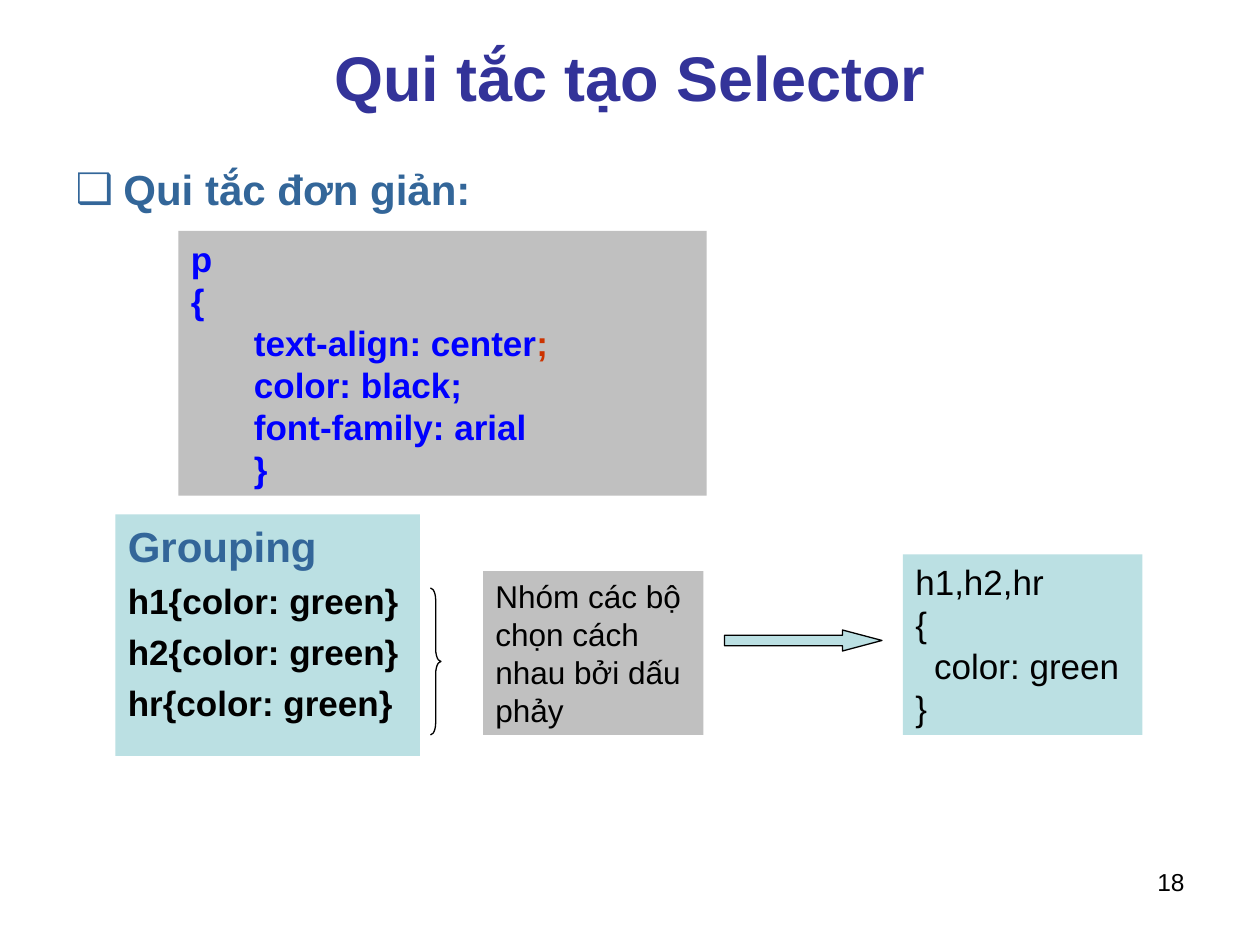
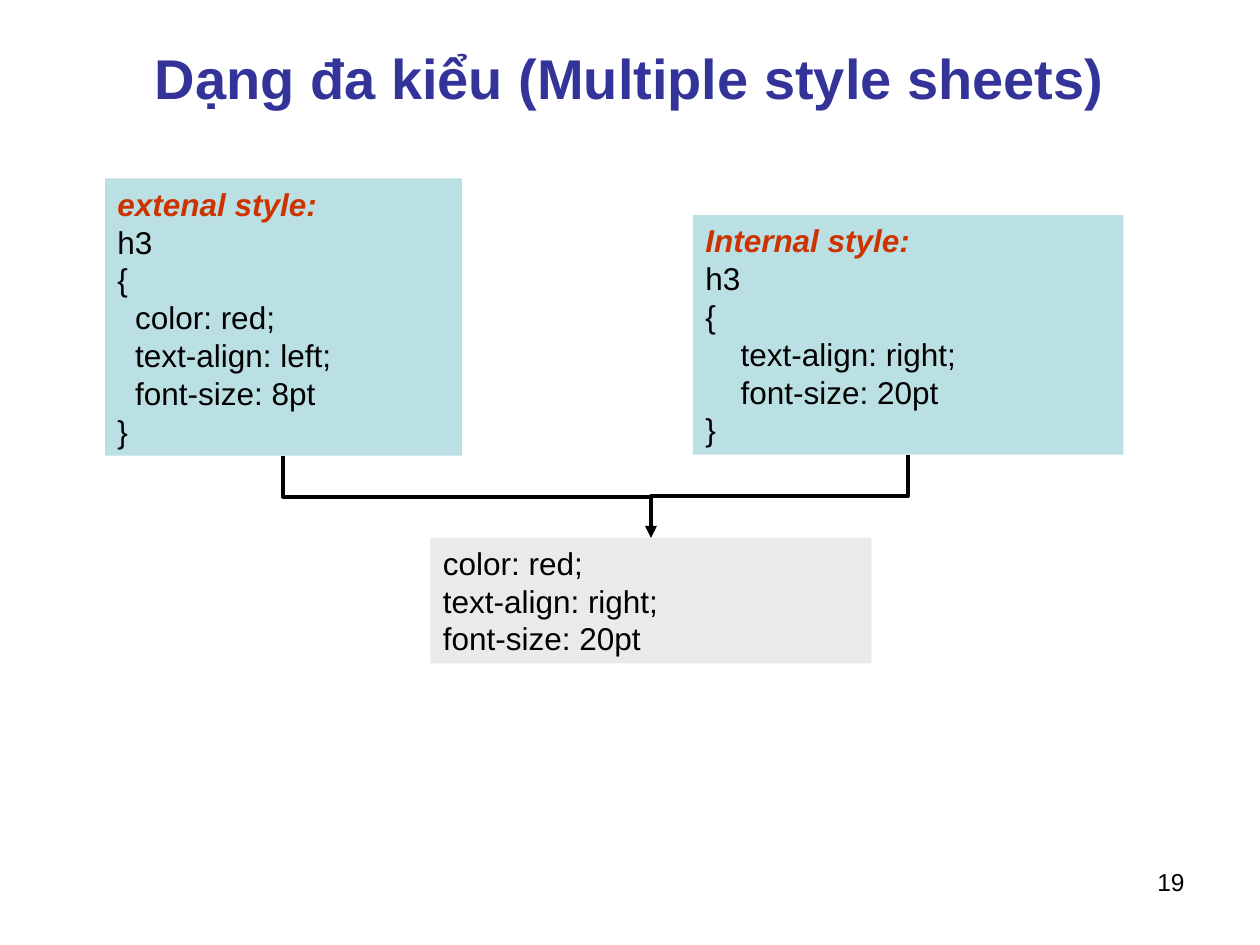
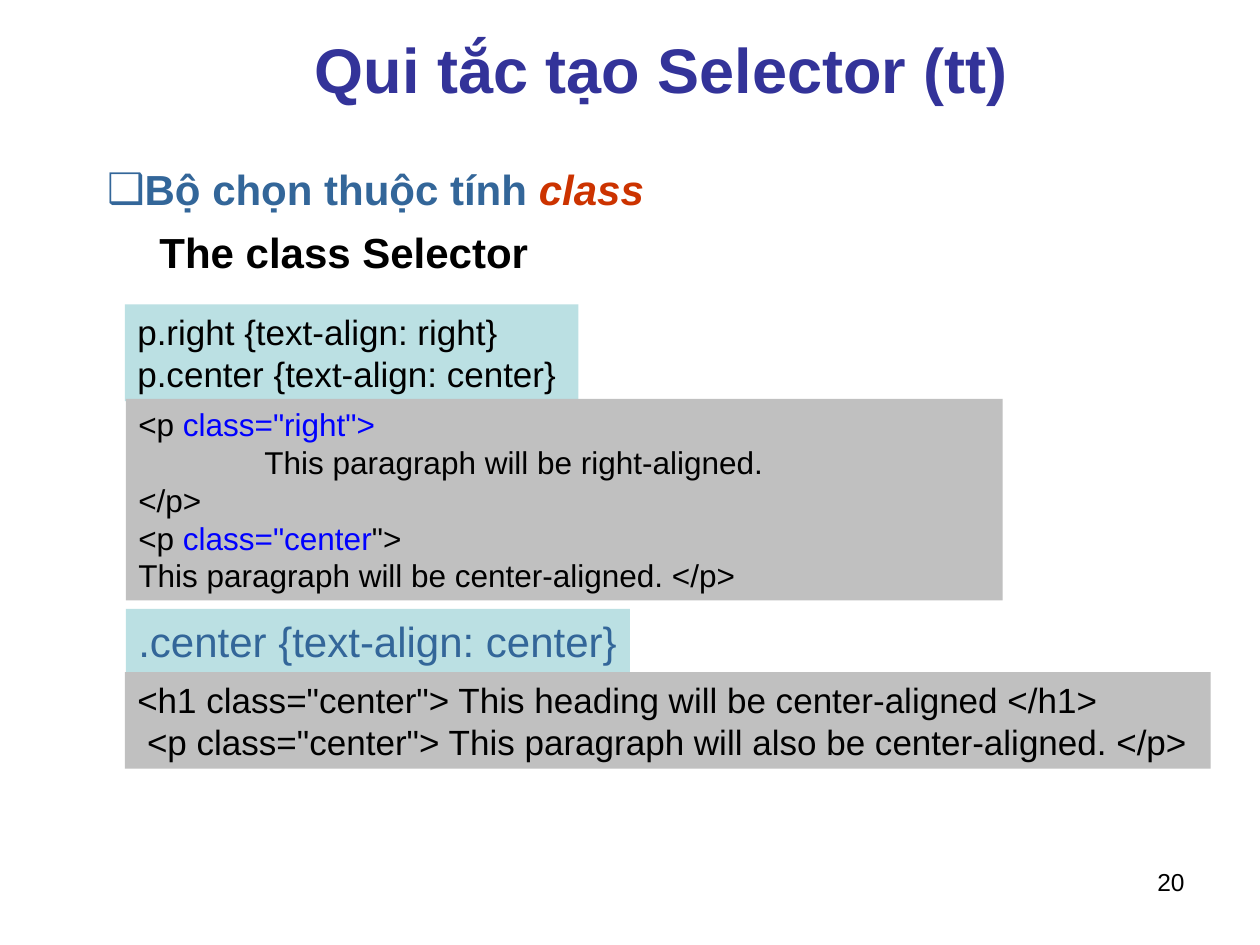
"""Build three slides on CSS selectors and multiple style sheets."""
from lxml.etree import SubElement
from pptx import Presentation
from pptx.dml.color import RGBColor
from pptx.enum.shapes import MSO_CONNECTOR as Link, MSO_SHAPE as Preset
from pptx.enum.text import MSO_ANCHOR as Anchor, MSO_AUTO_SIZE as Fit, PP_ALIGN as Align
from pptx.oxml.ns import qn
from pptx.util import Inches, Pt

NAVY, STEEL, BLUE, RED = "333399", "336699", "0000FF", "CC3300"
BLACK, AQUA, GREY, PALE = "000000", "BBE0E3", "C0C0C0", "EAEAEA"
TITLE_AND_BODY, TITLE_ONLY = 1, 5
BOTTOM, TOP = 2, 0


def rgb(code):
    return RGBColor.from_string(code)


def line(*runs, indent=0, before=0, **style):
    return {"runs": runs, "indent": indent, "before": before, "style": style}


class Deck:
    font = "Arial"
    columns, rows = 120, 90

    def __init__(self):
        self.show = Presentation()
        self.show.slide_width, self.show.slide_height = Inches(10), Inches(7.5)
        self.slide = None

    def place(self, area):
        column = self.show.slide_width / self.columns
        row = self.show.slide_height / self.rows
        return [round(n * unit) for n, unit in zip(area, (column, row) * 2)]

    def move(self, shape, area):
        shape.left, shape.top, shape.width, shape.height = self.place(area)

    def add_slide(self, layout, number, heading, size=36, area=(6, 3.6, 108, 7.4)):
        self.slide = self.show.slides.add_slide(self.show.slide_layouts[layout])
        title = self.slide.shapes.title
        self.move(title, area)
        self.add_lines(title, [heading], Anchor.MIDDLE, Align.CENTER,
                       size=size, color=NAVY, bold=True)
        self.label([number], (86, 82, 28, 6.2), Anchor.TOP, Align.RIGHT, size=14)

    def add_lines(self, shape, lines, anchor, align=Align.LEFT, **base):
        frame = shape.text_frame
        frame.word_wrap, frame.auto_size = True, Fit.NONE
        frame.vertical_anchor = anchor
        for index, item in enumerate(lines):
            item = line(item) if isinstance(item, str) else item
            paragraph = frame.add_paragraph() if index else frame.paragraphs[0]
            paragraph.alignment = align
            paragraph.space_before = Pt(item["before"])
            properties = paragraph._p.get_or_add_pPr()
            properties.set("marL", str(Inches(item["indent"])))
            properties.set("indent", "0")
            for piece in item["runs"]:
                text, special = (piece, {}) if isinstance(piece, str) else piece
                self.add_run(paragraph, text, **{**base, **item["style"], **special})

    def add_run(self, paragraph, text, size=18, color=BLACK, bold=False, italic=False):
        run = paragraph.add_run()
        run.text = text
        font = run.font
        font.name, font.size, font.bold, font.italic = self.font, Pt(size), bold, italic
        font.color.rgb = rgb(color)

    def bullet(self, heading, area, hang=0.0):
        body = self.slide.placeholders[1]
        self.move(body, area)
        self.add_lines(body, [line(*heading, indent=hang, before=6)], Anchor.TOP,
                       size=24, color=STEEL, bold=True)
        properties = body.text_frame.paragraphs[0]._p.get_or_add_pPr()
        properties.set("indent", str(-Inches(hang)))
        tint = SubElement(properties, qn("a:buClr"))
        SubElement(tint, qn("a:srgbClr")).set("val", STEEL)
        SubElement(properties, qn("a:buChar")).set("char", "❑")

    def label(self, lines, area, anchor=Anchor.MIDDLE, align=Align.LEFT, **base):
        self.add_lines(self.slide.shapes.add_textbox(*self.place(area)), lines,
                       anchor, align, **base)

    def shape(self, preset, area, fill=None, outlined=False, adjust=()):
        shape = self.slide.shapes.add_shape(preset, *self.place(area))
        shape.shadow.inherit = False
        for index, value in enumerate(adjust):
            shape.adjustments[index] = value
        if fill:
            shape.fill.solid()
            shape.fill.fore_color.rgb = rgb(fill)
        else:
            shape.fill.background()
        if outlined:
            shape.line.color.rgb, shape.line.width = rgb(BLACK), Pt(0.75)
        else:
            shape.line.fill.background()
        return shape

    def panel(self, lines, area, fill, anchor=Anchor.MIDDLE, **base):
        panel = self.shape(Preset.RECTANGLE, area, fill)
        self.add_lines(panel, lines, anchor, **base)
        return panel

    def flow(self, source, target, head):
        flow = self.slide.shapes.add_connector(Link.ELBOW, 0, 0, 0, 0)
        flow.begin_connect(source, BOTTOM)
        flow.end_connect(target, TOP)
        left, top, across, down = flow.left, flow.top, flow.width, flow.height
        rightward = flow.begin_x < flow.end_x
        flow.left, flow.top = left + (across - down) // 2, top + (down - across) // 2
        flow.width, flow.height = down, across
        properties = flow._element.spPr
        turn = properties.find(qn("a:xfrm"))
        turn.set("rot", str((270 if rightward else 90) * 60000))
        turn.set("flipH", "1" if rightward else "0")
        turn.set("flipV", "0")
        flow.line.color.rgb, flow.line.width = rgb(BLACK), Pt(2.25)
        SubElement(properties.find(qn("a:ln")), qn("a:tailEnd")).set("type", head)
        SubElement(properties, qn("a:effectLst"))


def simple_rules(deck):
    deck.add_slide(TITLE_AND_BODY, "18", "Qui tắc tạo Selector")
    deck.bullet(["Qui tắc đơn giản:"], (6, 15, 108, 65.4), hang=0.38)
    declarations = [("text-align: center", (";", {"color": RED})),
                    ("color: black;",), ("font-family: arial",), ("}",)]
    deck.panel(["p", "{"] + [line(*runs, indent=0.5) for runs in declarations],
               (17, 22, 50.3, 25.2), GREY, size=20, color=BLUE, bold=True)
    deck.panel([line("Grouping", before=6, size=24, color=STEEL)]
               + [line(f"{tag}{{color: green}}", before=5) for tag in ("h1", "h2", "hr")],
               (11, 49, 29, 23), AQUA, Anchor.TOP, size=20, bold=True)
    deck.panel(["h1,h2,hr", "{", line("color: green", indent=0.15), "}"],
               (86, 52.8, 22.8, 17.2), AQUA, size=20)
    deck.shape(Preset.RIGHT_ARROW, (69, 60, 15, 2), AQUA, True, (0.5, 1.88))
    deck.panel([line("Nhóm các bộ chọn cách nhau bởi dấu phảy", before=11.2)],
               (46, 54.4, 21, 15.6), GREY, Anchor.TOP)
    deck.shape(Preset.RIGHT_BRACE, (41, 56, 1, 14), outlined=True, adjust=(1.17, 0.5))


def multiple_sheets(deck):
    deck.add_slide(TITLE_ONLY, "19", "Dạng đa kiểu (Multiple style sheets)", size=32)

    def sheet(name, declarations, indent, area):
        return deck.panel([line(name, color=RED, bold=True, italic=True), "h3", "{"]
                          + [line(rule, indent=indent) for rule in declarations] + ["}"],
                          area, AQUA)

    external = sheet("extenal style:", ["color: red;", "text-align: left;", "font-size: 8pt"],
                     0.14, (10, 17, 34, 26.4))
    internal = sheet("Internal style:", ["text-align: right;", "font-size: 20pt"],
                     0.28, (66, 20.5, 41, 22.8))
    merged = deck.panel(["color: red;", "text-align: right;", "font-size: 20pt"],
                        (41, 51.2, 42, 12), PALE)
    deck.flow(external, merged, "triangle")
    deck.flow(internal, merged, "stealth")


def class_selector(deck):
    deck.add_slide(TITLE_AND_BODY, "20", "Qui tắc tạo Selector (tt)", area=(12, 3, 102, 7))
    deck.bullet(["Bộ chọn thuộc tính ", ("class", {"color": RED, "italic": True})],
                (9, 15, 93, 59))
    deck.label(["The class Selector"], (14, 21, 37.6, 6), size=24, bold=True)
    deck.panel(["p.right {text-align: right}", "p.center {text-align: center}"],
               (11.9, 29, 43.2, 9.2), AQUA, size=20)
    blue = {"color": BLUE}
    deck.panel([line("<p ", ('class="right">', blue)),
                line("This paragraph will be right-aligned.", indent=1),
                "</p>",
                line("<p ", ('class="center', blue), '">'),
                "This paragraph will be center-aligned. </p>"],
               (12, 38, 83.5, 19.2), GREY)
    deck.panel([line(".center {text-align: center}", before=6)],
               (12, 58, 48, 6), AQUA, Anchor.TOP, size=24, color=STEEL)
    deck.panel(['<h1 class="center"> This heading will be center-aligned </h1>',
                ' <p class="center"> This paragraph will also be center-aligned. </p>'],
               (11.9, 64, 103.4, 9.2), GREY, size=20)


def main():
    deck = Deck()
    simple_rules(deck)
    multiple_sheets(deck)
    class_selector(deck)
    deck.show.save("out.pptx")


if __name__ == "__main__":
    main()
